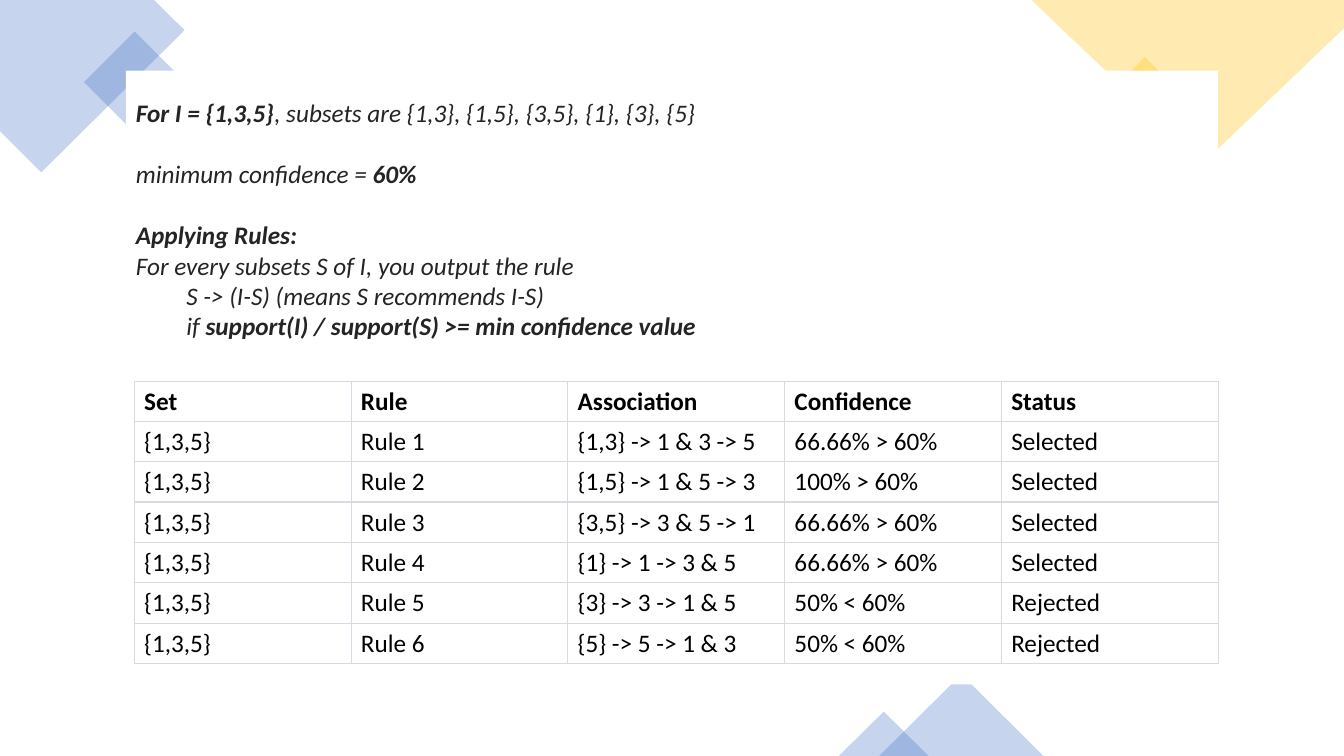
from pptx import Presentation
from pptx.dml.color import RGBColor
from pptx.enum.shapes import MSO_SHAPE
from pptx.enum.text import MSO_ANCHOR
from pptx.oxml import parse_xml
from pptx.oxml.ns import nsdecls, qn
from pptx.util import Inches, Pt

RECT, PEAK = MSO_SHAPE.RECTANGLE, MSO_SHAPE.ISOSCELES_TRIANGLE
MIDDLE, BOTTOM = MSO_ANCHOR.MIDDLE, MSO_ANCHOR.BOTTOM
COLORS = {"blue": "4472C4", "gold": "FFC000", "white": "FFFFFF",
          "ink": "242424", "black": "000000", "grid": "D9D9E3"}


def paint(shape, color, alpha=100):
    """Fill a shape, without outline or shadow; alpha is in percent."""
    shape.shadow.inherit = False
    shape.line.fill.background()
    shape.fill.solid()
    shape.fill.fore_color.rgb = RGBColor.from_string(COLORS[color])
    if alpha < 100:
        tint = shape.fill._xPr.find(".//" + qn("a:srgbClr"))
        tint.append(parse_xml(f'<a:alpha {nsdecls("a")} val="{alpha * 1000}"/>'))


def style(font, color):
    font.name = "Calibri"
    font.size = Pt(18)
    font.color.rgb = RGBColor.from_string(COLORS[color])


prs = Presentation()
prs.slide_width, prs.slide_height = Inches(13.33), Inches(7.5)
slide = prs.slides.add_slide(prs.slide_layouts[6])
shapes = slide.shapes

# Corner outlines
corners = [
    ("blue", [(1.53, 0), (0, 0), (0, 1.3), (0.41, 1.71), (1.83, 0.3)]),
    ("gold", [(13.33, 0), (10.23, 0), (11.93, 1.62), (13.33, 0.28)]),
]
for color, points in corners:
    points = [(Inches(x), Inches(y)) for x, y in points]
    pen = shapes.build_freeform(*points[0])
    pen.add_line_segments(points[1:], close=True)
    paint(pen.convert_to_shape(), color, 30)

# Diamonds at the top, peaks at the bottom
accents = [
    (RECT, "blue", 45, (0.98, 0.46, 0.71, 0.71)),
    (RECT, "gold", 45, (10.98, 0.72, 0.75, 0.75)),
    (PEAK, "blue", 0, (8.72, 6.69, 1.63, 0.81)),
    (PEAK, "blue", 0, (8.32, 7.06, 0.89, 0.44)),
]
for kind, color, turn, place in accents:
    accent = shapes.add_shape(kind, *map(Inches, place))
    accent.rotation = turn
    paint(accent, color, 30)

# White panel
panel = shapes.add_shape(RECT, Inches(1.25), Inches(0.7), Inches(10.83), Inches(6.09))
paint(panel, "white")

# Rule text: space before in points, left indent in inches, (text, bold) runs
lines = [
    (0, 0, [("For I = {1,3,5}", True),
            (", subsets are {1,3}, {1,5}, {3,5}, {1}, {3}, {5}", False)]),
    (22, 0, [("minimum confidence = ", False), ("60%", True)]),
    (22, 0, [("Applying Rules:", True)]),
    (0, 0, [("For every subsets S of I, you output the rule", False)]),
    (0, 0.5, [("S -> (I-S) (means S recommends I-S)", False)]),
    (0, 0.5, [("if ", False),
              ("support(I) / support(S) >= min confidence value", True)]),
]
box = shapes.add_textbox(Inches(1.25), Inches(0.92), Inches(10.83), Inches(3.13))
frame = box.text_frame
frame.word_wrap = True
for i, (gap, indent, runs) in enumerate(lines):
    para = frame.add_paragraph() if i else frame.paragraphs[0]
    para.space_before = Pt(gap)
    para._p.get_or_add_pPr().set("marL", str(Inches(indent)))
    style(para.font, "ink")
    para.font.italic = True
    for text, bold in runs:
        run = para.add_run()
        run.text = text
        run.font.bold = bold

# Table of rules
rules = [
    ("{1,3} -> 1 & 3 -> 5", "66.66% > 60%", "Selected"),
    ("{1,5} -> 1 & 5 -> 3", "100% > 60%", "Selected"),
    ("{3,5} -> 3 & 5 -> 1", "66.66% > 60%", "Selected"),
    ("{1} -> 1 -> 3 & 5", "66.66% > 60%", "Selected"),
    ("{3} -> 3 -> 1 & 5", "50% < 60%", "Rejected"),
    ("{5} -> 5 -> 1 & 3", "50% < 60%", "Rejected"),
]
rows = [("Set", "Rule", "Association", "Confidence", "Status")]
rows += [("{1,3,5}", f"Rule {n}", *rule) for n, rule in enumerate(rules, 1)]
last = len(rows) - 1
table = shapes.add_table(len(rows), 5, Inches(1.33), Inches(3.78),
                         Inches(10.75), Inches(2.8)).table
table.first_row = table.horz_banding = False
for r, row in enumerate(rows):
    for c, text in enumerate(row):
        cell = table.cell(r, c)
        cell.text = text
        cell.vertical_anchor = MIDDLE if r else BOTTOM
        para = cell.text_frame.paragraphs[0]
        style(para.font, "black")
        para.font.bold = r == 0
        # Inner rows are parted by 1 pt lines, all other borders are 0.5 pt
        widths = {"L": 0.5, "R": 0.5, "T": 1 if r else 0.5,
                  "B": 1 if r < last else 0.5}
        props = cell._tc.get_or_add_tcPr()
        for side, width in widths.items():
            props.append(parse_xml(
                f'<a:ln{side} {nsdecls("a")} w="{Pt(width)}"><a:solidFill>'
                f'<a:srgbClr val="{COLORS["grid"]}"/></a:solidFill></a:ln{side}>'))
        cell.fill.background()

prs.save("out.pptx")
